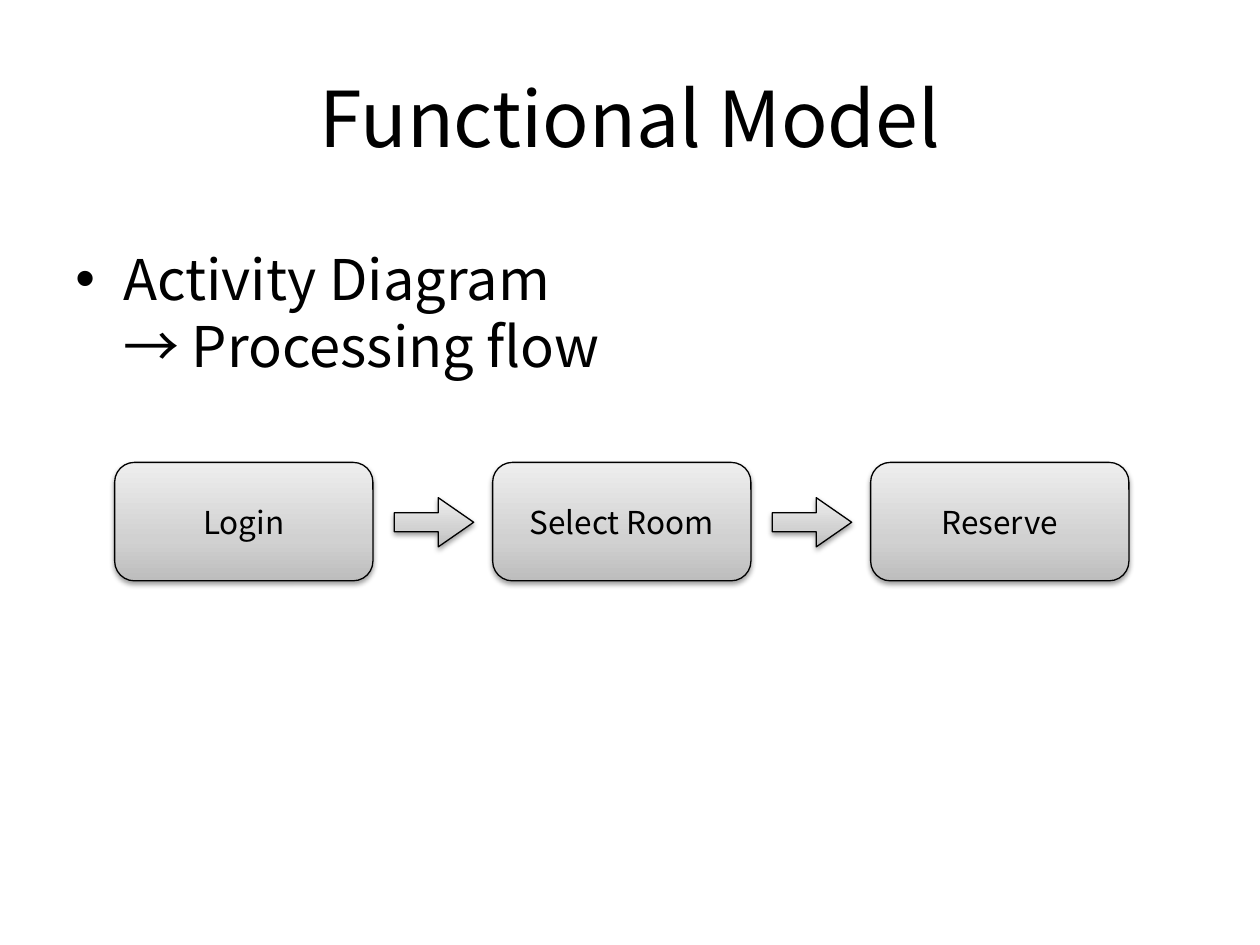
from copy import deepcopy

from lxml import etree
from pptx import Presentation
from pptx.dml.color import RGBColor
from pptx.enum import shapes, text
from pptx.oxml import parse_xml
from pptx.oxml.ns import nsdecls, qn
from pptx.util import Inches, Pt

FONT = "Noto Sans CJK KR"
GRADIENT = [(0, "BDBDBD"), (0.35, "D1D1D1"), (1, "EEEEEE")]
PITCH = 3.0  # distance between steps


def write(shape, words, size, align):
    frame = shape.text_frame
    frame.word_wrap = True
    frame.vertical_anchor = text.MSO_ANCHOR.MIDDLE
    paragraph = frame.paragraphs[0]
    paragraph.text = words
    paragraph.alignment = align
    paragraph.font.name = FONT
    paragraph.font.size = Pt(size)
    paragraph.font.color.rgb = RGBColor.from_string("000000")
    return paragraph


def add_glossy(kind, left, top, width, height):
    shape = slide.shapes.add_shape(
        kind, Inches(left), Inches(top), Inches(width), Inches(height))
    shape.line.color.rgb = RGBColor.from_string("000000")
    shape.line.width = Pt(0.75)

    # Three-stop gradient, light at the top
    shape.fill.gradient()
    shape.fill.gradient_angle = 90
    stops = shape._element.spPr.find(".//" + qn("a:gsLst"))
    stops.append(deepcopy(stops[-1]))
    for stop, (position, color) in zip(shape.fill.gradient_stops, GRADIENT):
        stop.position = position
        stop.color.rgb = RGBColor.from_string(color)

    # Soft shadow straight below
    shape.shadow.inherit = False
    shape._element.spPr.find(qn("a:effectLst")).append(parse_xml(
        f'<a:outerShdw {nsdecls("a")} blurRad="{Pt(3.1)}" dist="{Pt(1.6)}" '
        'dir="5400000" rotWithShape="0"><a:srgbClr val="000000">'
        '<a:alpha val="38000"/></a:srgbClr></a:outerShdw>'))
    return shape


presentation = Presentation()
presentation.slide_width = Inches(10)
presentation.slide_height = Inches(7.5)
slide = presentation.slides.add_slide(presentation.slide_layouts[6])

# Title
title = slide.shapes.add_textbox(Inches(0.5), Inches(0.3), Inches(9), Inches(1.25))
write(title, "Functional Model", 44, text.PP_ALIGN.CENTER)

# Bullet with a second line
body = slide.shapes.add_textbox(Inches(0.5), Inches(1.89), Inches(9), Inches(4.29))
paragraph = write(body, "Activity Diagram\v→ Processing flow", 32, text.PP_ALIGN.LEFT)
body.text_frame.vertical_anchor = text.MSO_ANCHOR.TOP
paragraph.line_spacing = Pt(38.4)
properties = paragraph._p.get_or_add_pPr()
properties.set("marL", str(Inches(0.38)))
properties.set("indent", str(-Inches(0.38)))
bullet_font = etree.Element(qn("a:buFont"), typeface="Arial")
bullet = etree.Element(qn("a:buChar"), char="•")
properties.find(qn("a:lnSpc")).addnext(bullet_font)
bullet_font.addnext(bullet)

# Process steps
steps = ["Login", "Select Room", "Reserve"]
for index, step in enumerate(steps):
    box = add_glossy(shapes.MSO_SHAPE.ROUNDED_RECTANGLE,
                     0.91 + index * PITCH, 3.67, 2.05, 0.94)
    write(box, step, 18, text.PP_ALIGN.CENTER)

# Arrows between the steps
for index in range(len(steps) - 1):
    arrow = add_glossy(shapes.MSO_SHAPE.RIGHT_ARROW,
                       3.13 + index * PITCH, 3.95, 0.63, 0.39)
    arrow.adjustments[0] = 0.39
    arrow.adjustments[1] = 0.72

presentation.save("out.pptx")
